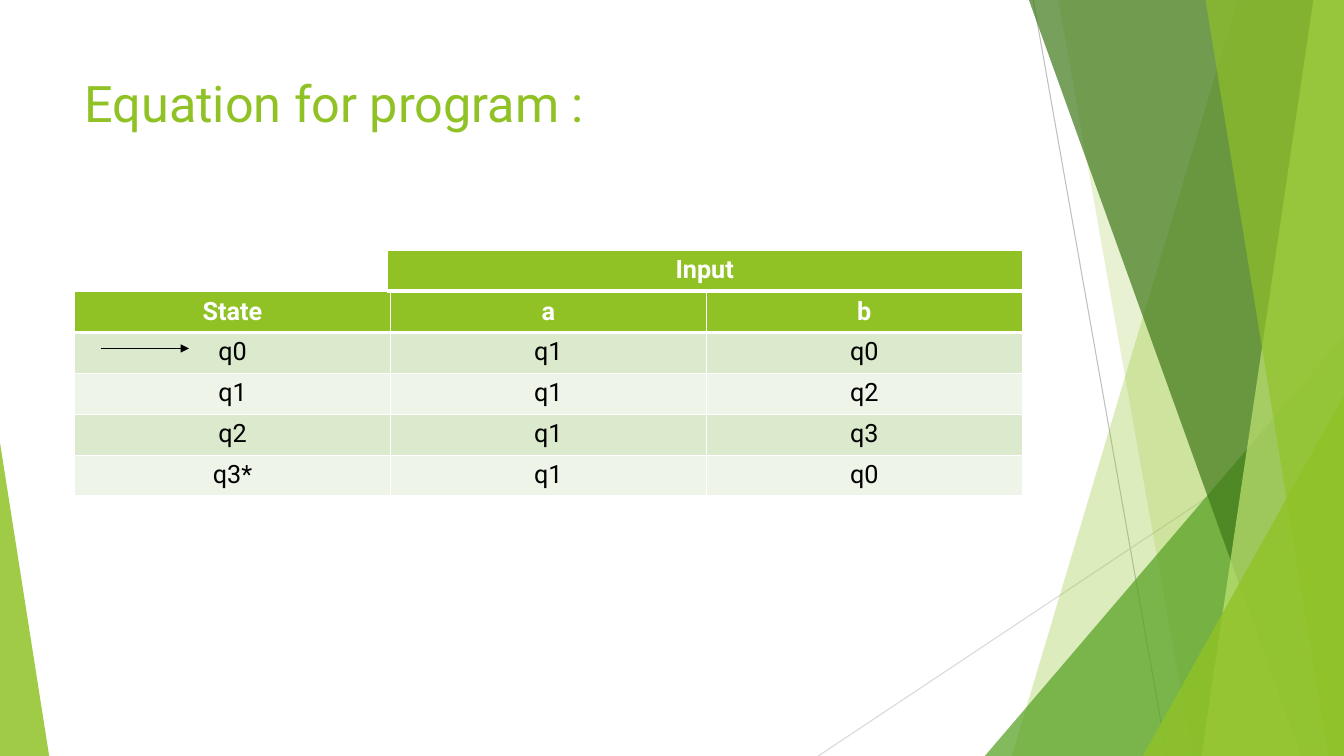
from dataclasses import dataclass

from lxml import etree
from pptx import Presentation
from pptx.dml.color import RGBColor
from pptx.enum.shapes import MSO_CONNECTOR, MSO_SHAPE
from pptx.enum.text import MSO_ANCHOR, PP_ALIGN
from pptx.oxml.ns import qn
from pptx.util import Cm, Pt

STRAIGHT = MSO_CONNECTOR.STRAIGHT
TRIANGLE = MSO_SHAPE.ISOSCELES_TRIANGLE
TOP = MSO_ANCHOR.TOP
LEFT, CENTER = PP_ALIGN.LEFT, PP_ALIGN.CENTER

WHITE = RGBColor(0xFF, 0xFF, 0xFF)
BLACK = RGBColor(0x00, 0x00, 0x00)
LIME = RGBColor(0x90, 0xC2, 0x26)
PALE_LIME = RGBColor(0xC0, 0xE4, 0x74)
GREEN = RGBColor(0x54, 0xA0, 0x21)
DARK_GREEN = RGBColor(0x3F, 0x78, 0x19)
BANDS = (RGBColor(0xDB, 0xE9, 0xCD), RGBColor(0xEE, 0xF4, 0xE8))
GRAY = RGBColor(0xBF, 0xBF, 0xBF)
LIGHT_GRAY = RGBColor(0xD9, 0xD9, 0xD9)

FONT = "Roboto"
SLIDE_W, SLIDE_H = 33.87, 19.05
CONTENT_LEFT, CONTENT_W = 1.88, 23.88
ROW_H = 1.03
GRID_PT, HEADER_RULE_PT = 1, 3


@dataclass(frozen=True)
class Ray:
    """Thin line; lengths in cm."""
    start: tuple[float, float]
    end: tuple[float, float]
    color: RGBColor
    width: float = 0.75
    arrow: bool = False


@dataclass(frozen=True)
class Panel:
    """Full-height facet from a slanted left edge to the right slide edge."""
    top_x: float
    bottom_x: float
    color: RGBColor
    opacity: int


@dataclass(frozen=True)
class Corner:
    """Triangle standing on the bottom slide edge."""
    left: float
    top: float
    width: float
    apex: float
    color: RGBColor
    opacity: int


@dataclass(frozen=True)
class Grid:
    left: float
    top: float
    width: float
    rows: tuple[tuple[str, ...], ...]


RAYS = (
    Ray((26.04, 0), (29.41, SLIDE_H), GRAY),
    Ray((SLIDE_W, 10.24), (20.62, SLIDE_H), LIGHT_GRAY),
)
FACETS = (
    Panel(31.19, 25.5, LIME, 30),
    Panel(26.67, 30.05, LIME, 20),
    Corner(24.82, 8.46, 9.05, 1, GREEN, 72),
    Panel(25.93, 32.79, DARK_GREEN, 70),
    Panel(33.1, 30.28, PALE_LIME, 70),
    Panel(30.38, 33.48, LIME, 65),
    Corner(28.8, 9.98, 5.07, 1, LIME, 80),
    Corner(0, 11.15, 1.24, 0, LIME, 85),
)
TRANSITIONS = Grid(CONTENT_LEFT, 7.35, CONTENT_W, (
    ("State", "a", "b"),
    ("q0", "q1", "q0"),
    ("q1", "q1", "q2"),
    ("q2", "q1", "q3"),
    ("q3*", "q1", "q0"),
))
INPUT_HEADING = Grid(9.76, 6.31, 16, (("Input",),))
START_ARROW = Ray((2.54, 8.78), (4.76, 8.78), BLACK, 1, arrow=True)


def write(frame, text: str, *, size: float, color: RGBColor,
          bold: bool = False, align=LEFT) -> None:
    paragraph = frame.paragraphs[0]
    paragraph.alignment = align
    run = paragraph.add_run()
    run.text = text
    run.font.name = FONT
    run.font.size = Pt(size)
    run.font.bold = bold
    run.font.color.rgb = color


def draw_ray(slide, ray: Ray) -> None:
    ends = [Cm(value) for value in ray.start + ray.end]
    connector = slide.shapes.add_connector(STRAIGHT, *ends)
    connector.line.color.rgb = ray.color
    connector.line.width = Pt(ray.width)
    properties = connector._element.spPr
    if ray.arrow:
        etree.SubElement(properties.find(qn("a:ln")), qn("a:tailEnd"), type="triangle")
    etree.SubElement(properties, qn("a:effectLst"))


def draw_facet(slide, facet: Panel | Corner) -> None:
    if isinstance(facet, Panel):
        builder = slide.shapes.build_freeform(Cm(facet.top_x), 0)
        corners = ((SLIDE_W, 0), (SLIDE_W, SLIDE_H), (facet.bottom_x, SLIDE_H))
        builder.add_line_segments([(Cm(x), Cm(y)) for x, y in corners], close=True)
        shape = builder.convert_to_shape()
    else:
        shape = slide.shapes.add_shape(
            TRIANGLE, Cm(facet.left), Cm(facet.top),
            Cm(facet.width), Cm(SLIDE_H - facet.top))
        shape.adjustments[0] = facet.apex
    shape.shadow.inherit = False
    shape.line.fill.background()
    shape.fill.solid()
    shape.fill.fore_color.rgb = facet.color
    tint = shape._element.spPr.find(qn("a:solidFill")).find(qn("a:srgbClr"))
    etree.SubElement(tint, qn("a:alpha"), val=str(facet.opacity * 1000))


def set_borders(cell, top_pt: float, bottom_pt: float) -> None:
    properties = cell._tc.get_or_add_tcPr()
    sides = {"a:lnL": GRID_PT, "a:lnR": GRID_PT, "a:lnT": top_pt, "a:lnB": bottom_pt}
    for position, (side, width) in enumerate(sides.items()):
        border = etree.Element(qn(side), w=str(int(Pt(width))))
        fill = etree.SubElement(border, qn("a:solidFill"))
        etree.SubElement(fill, qn("a:srgbClr"), val=str(WHITE))
        properties.insert(position, border)


def draw_grid(slide, grid: Grid) -> None:
    table = slide.shapes.add_table(
        len(grid.rows), len(grid.rows[0]), Cm(grid.left), Cm(grid.top),
        Cm(grid.width), Cm(ROW_H * len(grid.rows))).table
    table.horz_banding = False
    for row_index, labels in enumerate(grid.rows):
        table.rows[row_index].height = Cm(ROW_H)
        header = row_index == 0
        for column_index, label in enumerate(labels):
            cell = table.cell(row_index, column_index)
            cell.fill.solid()
            cell.fill.fore_color.rgb = LIME if header else BANDS[(row_index - 1) % 2]
            set_borders(cell,
                        top_pt=HEADER_RULE_PT if row_index == 1 else GRID_PT,
                        bottom_pt=HEADER_RULE_PT if header else GRID_PT)
            write(cell.text_frame, label, size=18, bold=header, align=CENTER,
                  color=WHITE if header else BLACK)


def main() -> None:
    presentation = Presentation()
    presentation.slide_width, presentation.slide_height = Cm(SLIDE_W), Cm(SLIDE_H)
    slide = presentation.slides.add_slide(presentation.slide_layouts[6])

    # Faceted backdrop
    for ray in RAYS:
        draw_ray(slide, ray)
    for facet in FACETS:
        draw_facet(slide, facet)

    # Title
    title = slide.shapes.add_textbox(
        Cm(CONTENT_LEFT), Cm(1.7), Cm(CONTENT_W), Cm(3.66)).text_frame
    title.word_wrap = True
    title.vertical_anchor = TOP
    write(title, "Equation for program :", size=36, color=LIME)

    # Transition table with its input heading and start-state arrow
    for grid in (TRANSITIONS, INPUT_HEADING):
        draw_grid(slide, grid)
    draw_ray(slide, START_ARROW)

    presentation.save("out.pptx")


if __name__ == "__main__":
    main()
